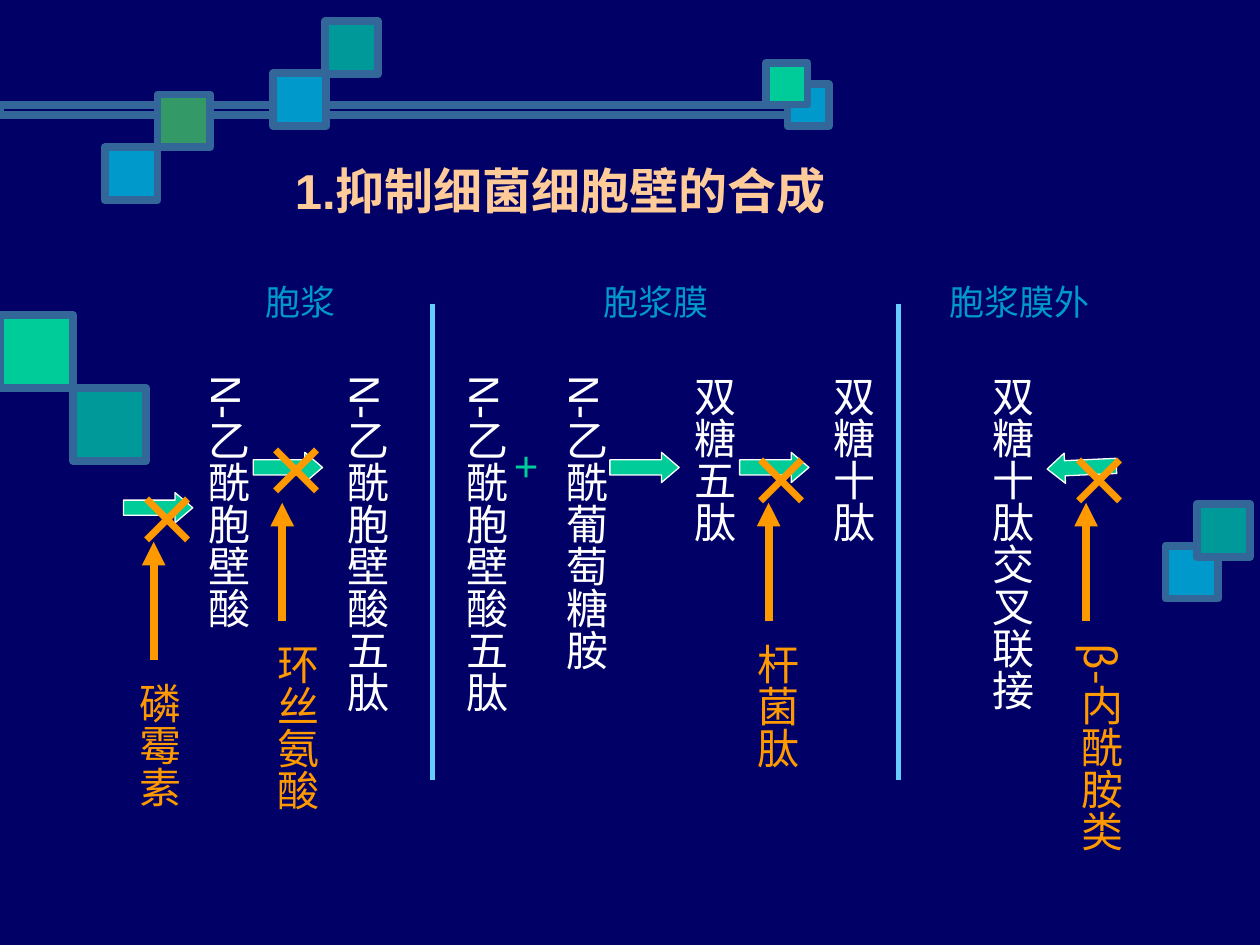
from pptx import Presentation
from pptx.dml.color import RGBColor
from pptx.enum.shapes import MSO_CONNECTOR, MSO_SHAPE
from pptx.enum.text import MSO_ANCHOR, MSO_AUTO_SIZE, PP_ALIGN
from pptx.oxml.ns import qn
from pptx.util import Inches, Pt
from lxml import etree

COLORS = {
    "background": "000066", "frame": "336699", "blue": "0099CC",
    "mint": "00CC99", "teal": "009999", "green": "339966",
    "title": "FFCC99", "divider": "66CCFF", "white": "FFFFFF",
    "orange": "FF9900",
}
CJK_FONT = "Noto Sans CJK SC"


def color(name):
    return RGBColor.from_string(COLORS[name])


def write_text(frame, text, size=24, color_name="white", font="Arial", bold=False):
    """Put one left-aligned paragraph with its format into a text frame."""
    paragraph = frame.paragraphs[0]
    paragraph.alignment = PP_ALIGN.LEFT
    run = paragraph.add_run()
    run.text = text
    run.font.size = Pt(size)
    run.font.bold = bold
    run.font.name = font
    run.font.color.rgb = color(color_name)
    east_asian = etree.SubElement(run.font._element, qn("a:ea"))
    east_asian.set("typeface", CJK_FONT)


class PathwaySlide:
    """The current slide and the style of its elements."""
    frame_width = Pt(4.5)
    arrow_size = (0.55, 0.24)

    def __init__(self, presentation):
        self.slide = presentation.slides.add_slide(presentation.slide_layouts[5])
        fill = self.slide.background.fill
        fill.solid()
        fill.fore_color.rgb = color("background")

    def title(self, text, left, top, width, height):
        shape = self.slide.shapes.title
        shape.left, shape.top = Inches(left), Inches(top)
        shape.width, shape.height = Inches(width), Inches(height)
        frame = shape.text_frame
        frame.vertical_anchor = MSO_ANCHOR.MIDDLE
        frame.auto_size = MSO_AUTO_SIZE.NONE
        write_text(frame, text, size=28, color_name="title", bold=True)

    def shape(self, kind, left, top, width, height, fill, line, line_width):
        shape = self.slide.shapes.add_shape(
            kind, Inches(left), Inches(top), Inches(width), Inches(height))
        shape.shadow.inherit = False
        if fill:
            shape.fill.solid()
            shape.fill.fore_color.rgb = color(fill)
        else:
            shape.fill.background()
        shape.line.color.rgb = color(line)
        shape.line.width = line_width
        return shape

    def framed(self, left, top, width, height, fill=None):
        self.shape(MSO_SHAPE.RECTANGLE, left, top, width, height,
                   fill, "frame", self.frame_width)

    def block_arrow(self, left, top, rotation=0):
        arrow = self.shape(MSO_SHAPE.RIGHT_ARROW, left, top, *self.arrow_size,
                           "mint", "white", Pt(0.75))
        arrow.adjustments[1] = 0.585
        arrow.rotation = rotation

    def line(self, x, start, end, color_name, width, arrowhead=False):
        connector = self.slide.shapes.add_connector(
            MSO_CONNECTOR.STRAIGHT, Inches(x), Inches(start), Inches(x), Inches(end))
        connector.line.color.rgb = color(color_name)
        connector.line.width = Pt(width)
        if arrowhead:
            tail = etree.SubElement(connector.line._get_or_add_ln(), qn("a:tailEnd"))
            tail.set("type", "triangle")
        etree.SubElement(connector._element.spPr, qn("a:effectLst"))

    def label(self, text, left, top, width, height, **style):
        box = self.slide.shapes.add_textbox(
            Inches(left), Inches(top), Inches(width), Inches(height))
        frame = box.text_frame
        frame.word_wrap = True
        frame.auto_size = MSO_AUTO_SIZE.SHAPE_TO_FIT_TEXT
        write_text(frame, text, **style)
        return frame

    def vertical_label(self, text, left, top, height, width=0.6, **style):
        frame = self.label(text, left, top, width, height, **style)
        frame.word_wrap = False
        frame.margin_left = frame.margin_right = Inches(0.05)
        frame.margin_top = frame.margin_bottom = Inches(0.1)
        frame._txBody.bodyPr.set("vert", "eaVert")

    def cross(self, left, top):
        self.vertical_label("×", left, top, 0.63, width=0.86, size=40,
                            color_name="orange", font=CJK_FONT, bold=True)


def main():
    presentation = Presentation()
    presentation.slide_width, presentation.slide_height = Inches(10), Inches(7.5)
    page = PathwaySlide(presentation)

    # Decorative rail and squares
    page.framed(0, 0.83, 6.42, 0.08)
    for left, top, side, fill in [
        (6.25, 0.67, 0.33, "blue"), (6.08, 0.5, 0.33, "mint"),
        (9.25, 4.33, 0.42, "blue"), (9.5, 4, 0.42, "teal"),
        (0, 2.5, 0.58, "mint"), (0.58, 3.08, 0.58, "teal"),
        (2.17, 0.58, 0.42, "blue"), (0.83, 1.17, 0.42, "blue"),
        (1.25, 0.75, 0.42, "green"), (2.58, 0.17, 0.42, "teal"),
    ]:
        page.framed(left, top, side, side, fill)

    page.title("1.抑制细菌细胞壁的合成", 2.24, 1.15, 4.96, 0.71)

    # Cell regions and the dividers between them
    for text, left, width in [("胞浆", 2.01, 0.87), ("胞浆膜", 4.69, 1.26),
                              ("胞浆膜外", 7.44, 1.5)]:
        page.label(text, left, 2.18, width, 0.44, size=20, color_name="blue")
    for x in (3.43, 7.13):
        page.line(x, 2.41, 6.19, "divider", 3)

    # Compounds of the pathway
    for text, left, height in [
        ("N-乙酰胞壁酸", 1.46, 2.44), ("N-乙酰胞壁酸五肽", 2.56, 2.99),
        ("N-乙酰胞壁酸五肽", 3.51, 2.99), ("N-乙酰葡萄糖胺", 4.3, 2.99),
        ("双糖五肽", 5.32, 1.73), ("双糖十肽", 6.42, 1.73),
        ("双糖十肽交叉联接", 7.68, 3.23),
    ]:
        page.vertical_label(text, left, 2.88, height)
    page.label("+", 3.98, 3.44, 0.39, 0.5, color_name="mint")

    # Reaction steps
    for left, top, rotation in [(0.98, 3.91, 0), (2.01, 3.59, 0), (4.84, 3.59, 0),
                                (5.87, 3.59, 0), (8.31, 3.59, 177.4)]:
        page.block_arrow(left, top, rotation)

    # Drugs: name, its place, arrow position, cross on the blocked step
    for drug, left, top, height, arrow_x, arrow_end, cross_left, cross_top, font in [
        ("磷霉素", 0.91, 5.32, 1.26, 1.22, 4.3, 0.83, 3.75, "Arial"),
        ("环丝氨酸", 2.01, 5.01, 1.65, 2.24, 3.99, 1.86, 3.44 - 0.08, "Arial"),
        ("杆菌肽", 5.82, 5.01, 1.21, 6.1, 3.99, 5.71, 3.44, "Arial"),
        ("β-内酰胺类", 8.39, 5.01, 1.97, 8.62, 3.99, 8.23, 3.44, CJK_FONT),
    ]:
        page.vertical_label(drug, left, top, height, color_name="orange", font=font)
        page.line(arrow_x, arrow_end + 0.94, arrow_end, "orange", 4.5, arrowhead=True)
        page.cross(cross_left, cross_top)

    presentation.save("out.pptx")


if __name__ == "__main__":
    main()
